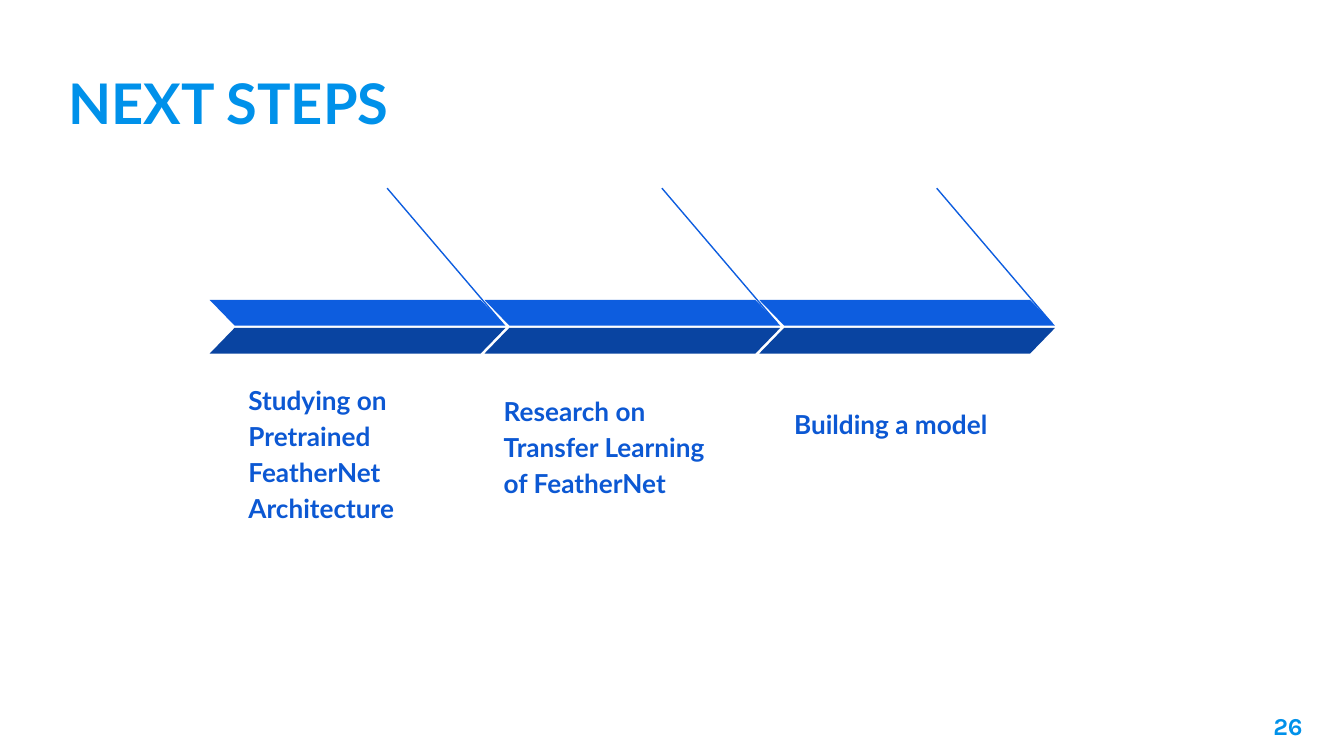
"""Build the "Next steps" slide: a three-step arrow timeline with labels."""
import pptx
import pptx.dml.color
import pptx.enum.shapes
import pptx.enum.text
import pptx.oxml.ns
import pptx.util
from lxml import etree

Pt = pptx.util.Pt
RGBColor = pptx.dml.color.RGBColor
MSO_ANCHOR = pptx.enum.text.MSO_ANCHOR
PP_ALIGN = pptx.enum.text.PP_ALIGN

SKY = RGBColor(0x00, 0x91, 0xEA)
LABEL_BLUE = RGBColor(0x0C, 0x58, 0xD3)
BRIGHT_BLUE = RGBColor(0x0D, 0x5D, 0xDF)
DARK_BLUE = RGBColor(0x09, 0x44, 0xA1)

INSET = 7.2
ARROW_LEFT, ARROW_PITCH, ARROW_WIDTH = 112.4, 147.2, 158.4
HALF_TOP, HALF_PITCH, HALF_HEIGHT = 160.7, 15, 13.7

STEPS = [
    ("Studying on Pretrained FeatherNet Architecture", (126, 198.7, 129.6, 89.3), INSET),
    ("Research on Transfer Learning of FeatherNet", (262.8, 198.7, 129.6, 89.3), 21),
    ("Building a model", (418.3, 211, 129.6, 41), 21),
]


def add_text(slide, box, text, size, color, font="Lato", align=PP_ALIGN.LEFT,
             anchor=MSO_ANCHOR.BOTTOM, spacing=1.0, bottom=INSET):
    sp = slide.shapes.add_textbox(*map(Pt, box))
    tf = sp.text_frame
    tf.word_wrap = True
    tf.vertical_anchor = anchor
    tf.margin_left = tf.margin_right = tf.margin_top = Pt(INSET)
    tf.margin_bottom = Pt(bottom)
    p = tf.paragraphs[0]
    p.alignment = align
    p.line_spacing = spacing
    r = p.add_run()
    r.text = text
    r.font.name = font
    r.font.size = Pt(size)
    r.font.bold = True
    r.font.color.rgb = color


def add_arrow_half(slide, left, top, color, flipped):
    sp = slide.shapes.add_shape(
        pptx.enum.shapes.MSO_SHAPE.PARALLELOGRAM,
        Pt(left), Pt(top), Pt(ARROW_WIDTH), Pt(HALF_HEIGHT))
    sp.adjustments[0] = 0.97
    sp.shadow.inherit = False
    sp.fill.solid()
    sp.fill.fore_color.rgb = color
    sp.line.fill.background()
    if flipped:
        sp._element.spPr.xfrm.set("flipH", "1")


def add_leader(slide, left):
    line = slide.shapes.add_connector(
        pptx.enum.shapes.MSO_CONNECTOR.STRAIGHT,
        Pt(left + 95), Pt(100.8), Pt(left + 157), Pt(173.5))
    line.line.color.rgb = BRIGHT_BLUE
    line.line.width = Pt(0.75)
    etree.SubElement(line._element.spPr, pptx.oxml.ns.qn("a:effectLst"))


def add_step(slide, index, label, box, bottom):
    left = ARROW_LEFT + index * ARROW_PITCH
    add_text(slide, box, label, 14, LABEL_BLUE, spacing=1.15, bottom=bottom)
    add_leader(slide, left)
    add_arrow_half(slide, left, HALF_TOP, BRIGHT_BLUE, True)
    add_arrow_half(slide, left, HALF_TOP + HALF_PITCH, DARK_BLUE, False)


def main():
    prs = pptx.Presentation()
    prs.slide_width, prs.slide_height = Pt(720), Pt(405)
    slide = prs.slides.add_slide(prs.slide_layouts[6])
    add_text(slide, (661.7, 373.7, 43.2, 31), "26", 13, SKY, font="Karla",
             align=PP_ALIGN.RIGHT, anchor=MSO_ANCHOR.TOP)
    add_text(slide, (29.5, 24.5, 596.2, 55.4), "NEXT STEPS", 30, SKY)
    for index, (label, box, bottom) in enumerate(STEPS):
        add_step(slide, index, label, box, bottom)
    prs.save("out.pptx")


if __name__ == "__main__":
    main()
